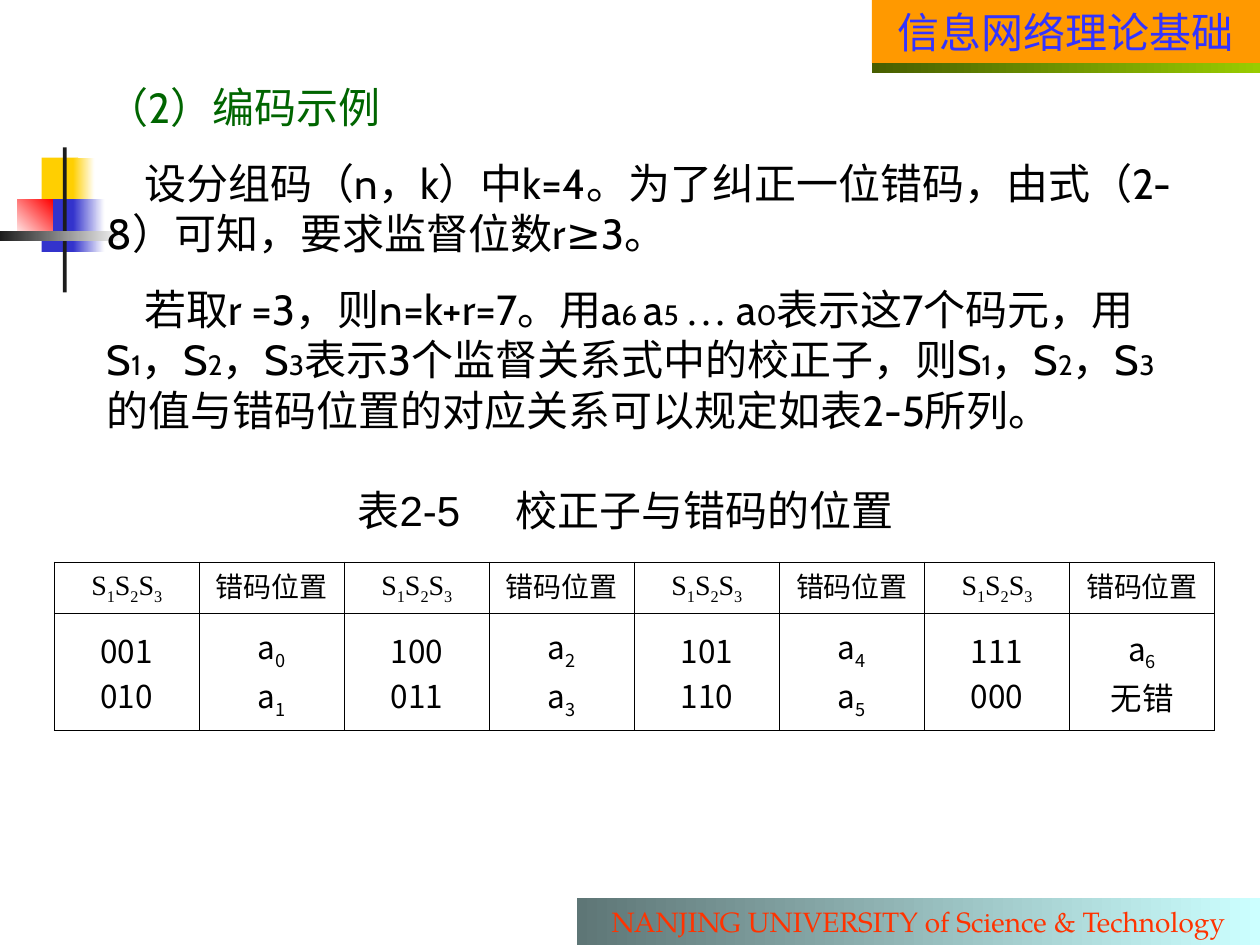
from itertools import groupby

from lxml.etree import SubElement
from pptx import Presentation
from pptx.dml.color import RGBColor
from pptx.enum.shapes import MSO_SHAPE as SHAPE
from pptx.enum.text import MSO_ANCHOR as ANCHOR, PP_ALIGN as ALIGN
from pptx.oxml.ns import qn
from pptx.util import Inches, Pt

THEME = {
    "cjk": "Noto Sans CJK SC", "latin": "Cabin", "serif": "Times New Roman",
    "sans": "Arial", "footer_font": "TeX Gyre Pagella",
    "black": "000000", "heading": "006500", "banner": "3333FF", "footer": "FF3300",
    "body_size": 24, "small_size": 16, "cell_size": 18, "border": 0.45,
}

DECOR = [
    (0.33, 1.25, 0.29, 0.38, ["FFCF01"], 0),
    (0.58, 1.25, 0.17, 0.42, ["FFCF01", "FFFFFF"], 0),
    (0.33, 1.58, 0.25, 0.42, ["3333CC"], 0),
    (0.58, 1.58, 0.25, 0.42, ["3333CC", "FFFFFF"], 0),
    (0.14, 1.58, 0.28, 0.33, ["FFFFFF", "FF0000"], 45),
    (0.5, 1.17, 0.03, 1.15, ["1C1C1C"], 0),
    (0, 1.83, 1, 0.08, ["1C1C1C", "FFFFFF"], 0),
    (6.92, 0.5, 3.08, 0.08, ["475E00", "99CC00"], 0),
]
BANNER = "信息网络理论基础"
FOOTER = "NANJING UNIVERSITY of Science & Technology"

HEADING = "（2）编码示例"
BODY = [
    "设分组码（n，k）中k=4。为了纠正一位错码，由式（2-8）可知，要求监督位数r≥3。",
    "若取r =3，则n=k+r=7。用a|6 |a|5 |… a|0|表示这7个码元，用S|1|，S|2|，S|3|"
    "表示3个监督关系式中的校正子，则S|1|，S|2|，S|3|的值与错码位置的对应关系可以规定如表2-5所列。",
]
CAPTION = "表2-5\t校正子与错码的位置"
HEADERS = ["S|1|S|2|S|3|", "错码位置"]
GROUPS = [
    (["001", "010"], ["a|0|", "a|1|"]),
    (["100", "011"], ["a|2|", "a|3|"]),
    (["101", "110"], ["a|4|", "a|5|"]),
    (["111", "000"], ["a|6|", "无错"]),
]


def rgb(color):
    return RGBColor.from_string(color)


def add_run(p, text, font, size, color):
    r = p.add_run()
    r.text = text
    r.font.name = font
    r.font.size = Pt(size)
    r.font.color.rgb = rgb(color)
    SubElement(r.font._element, qn("a:ea")).set("typeface", font)
    return r


def add_mixed(p, text, color, latin):
    def font_of(ch):
        if ch == "…":
            return THEME["serif"]
        return THEME["cjk"] if ord(ch) > 0x2E7F else latin

    for i, part in enumerate(text.split("|")):
        size = THEME["small_size"] if i % 2 else THEME["body_size"]
        for font, chars in groupby(part, font_of):
            add_run(p, "".join(chars), font, size, color)


def add_subscripted(p, text, font, size):
    p.alignment = ALIGN.CENTER
    for i, part in enumerate(text.split("|")):
        if part:
            r = add_run(p, part, font, size, THEME["black"])
            if i % 2:
                r.font._element.set("baseline", "-25000")


def add_block(s, x, y, w, h, colors, angle=0):
    sp = s.shapes.add_shape(SHAPE.RECTANGLE, Inches(x), Inches(y), Inches(w), Inches(h))
    sp.shadow.inherit = False
    sp.line.fill.background()
    if len(colors) == 1:
        sp.fill.solid()
        sp.fill.fore_color.rgb = rgb(colors[0])
    else:
        sp.fill.gradient()
        sp.fill.gradient_angle = angle
        for stop, color in zip(sp.fill.gradient_stops, colors):
            stop.color.rgb = rgb(color)
    return sp


def add_label(sp, text, font, size, color):
    tf = sp.text_frame
    tf.word_wrap = True
    tf.vertical_anchor = ANCHOR.TOP
    p = tf.paragraphs[0]
    p.alignment = ALIGN.CENTER
    add_run(p, text, font, size, color)


def add_textbox(s, x, y, w, h):
    tf = s.shapes.add_textbox(Inches(x), Inches(y), Inches(w), Inches(h)).text_frame
    tf.word_wrap = True
    return tf


def add_tab_stop(p, position):
    tabs = SubElement(p._p.get_or_add_pPr(), qn("a:tabLst"))
    SubElement(tabs, qn("a:tab"), pos=str(int(Inches(position))), algn="l")


def add_borders(cell):
    tc_pr = cell._tc.get_or_add_tcPr()
    for side in ("lnL", "lnR", "lnT", "lnB"):
        ln = SubElement(tc_pr, qn(f"a:{side}"), w=str(int(Pt(THEME["border"]))))
        fill = SubElement(ln, qn("a:solidFill"))
        SubElement(fill, qn("a:srgbClr"), val=THEME["black"])


def fill_cell(cell, lines, font, size):
    add_borders(cell)
    cell.fill.background()
    cell.vertical_anchor = ANCHOR.MIDDLE
    tf = cell.text_frame
    for i, line in enumerate(lines):
        p = tf.add_paragraph() if i else tf.paragraphs[0]
        add_subscripted(p, line, font, size)


def add_code_table(s):
    cols = len(HEADERS) * len(GROUPS)
    table = s.shapes.add_table(2, cols, Inches(0.43), Inches(4.46),
                               Inches(9.21), Inches(1.34)).table
    table.first_row = table.horz_banding = False
    for row, height in zip(table.rows, (0.41, 0.93)):
        row.height = Inches(height)
    header_fonts = (THEME["serif"], THEME["latin"])
    for g, group in enumerate(GROUPS):
        for k, lines in enumerate(group):
            c = g * len(HEADERS) + k
            fill_cell(table.cell(0, c), [HEADERS[k]], header_fonts[k], THEME["small_size"])
            fill_cell(table.cell(1, c), lines, THEME["cjk"], THEME["cell_size"])


def main():
    prs = Presentation()
    prs.slide_width, prs.slide_height = Inches(10), Inches(7.5)
    s = prs.slides.add_slide(prs.slide_layouts[6])

    for block in DECOR:
        add_block(s, *block)
    add_label(add_block(s, 6.92, 0, 3.08, 0.5, ["FF9900"]),
              BANNER, THEME["latin"], THEME["body_size"], THEME["banner"])
    add_label(add_block(s, 4.58, 7.13, 5.42, 0.37, ["5E7676", "CCFFFF"]),
              FOOTER, THEME["footer_font"], THEME["small_size"], THEME["footer"])

    tf = add_textbox(s, 0.75, 0.6, 8.66, 2.9)
    add_mixed(tf.paragraphs[0], HEADING, THEME["heading"], THEME["latin"])
    for text in BODY:
        p = tf.add_paragraph()
        p.space_before = Pt(14.4)
        p._p.get_or_add_pPr().set("indent", str(int(Inches(0.3))))
        add_mixed(p, text, THEME["black"], THEME["latin"])

    add_code_table(s)

    tf = add_textbox(s, 2.74, 3.8, 4.6, 0.5)
    p = tf.paragraphs[0]
    p.alignment = ALIGN.LEFT
    add_tab_stop(p, 1.25)
    add_mixed(p, CAPTION, THEME["black"], THEME["sans"])

    prs.save("out.pptx")


if __name__ == "__main__":
    main()
